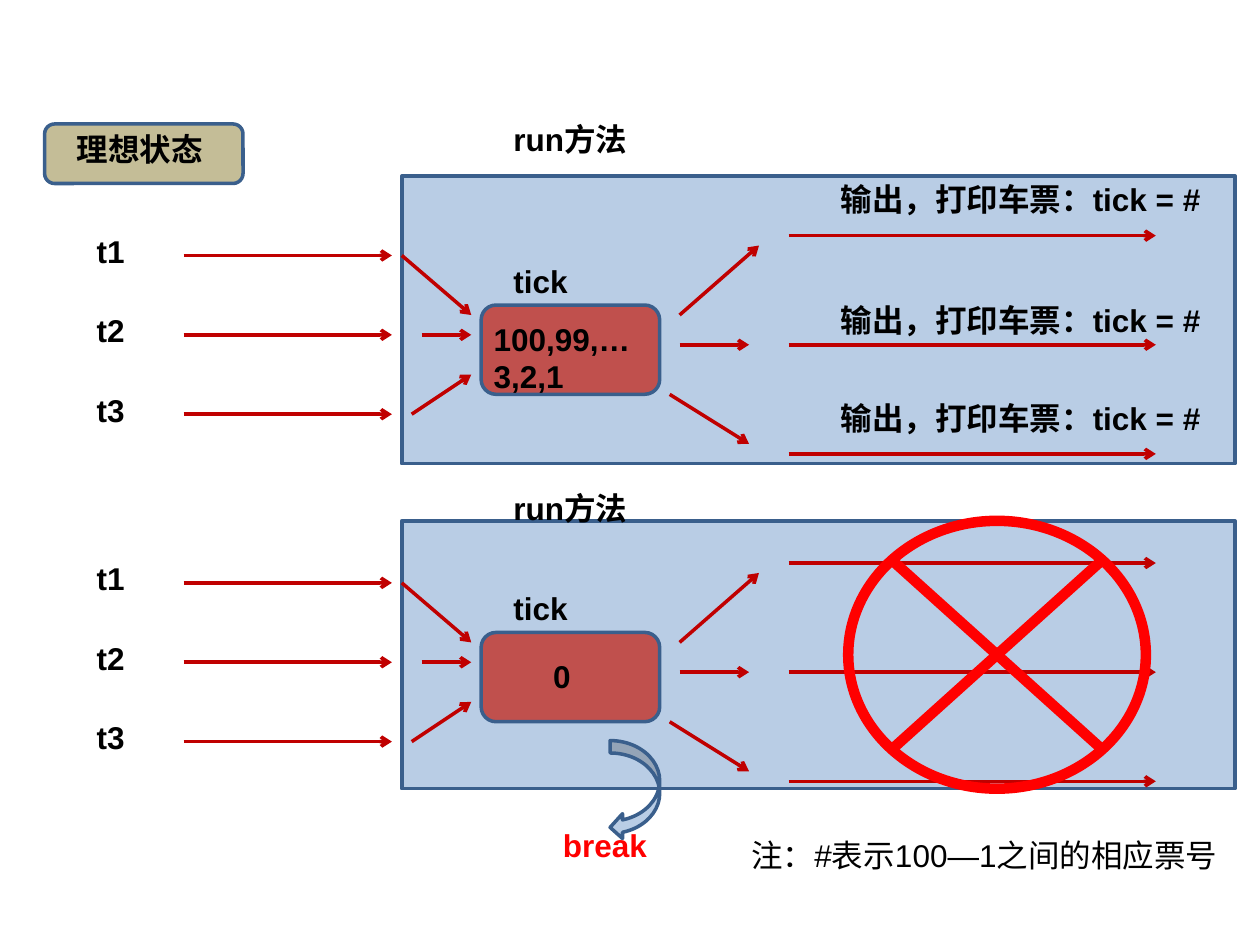
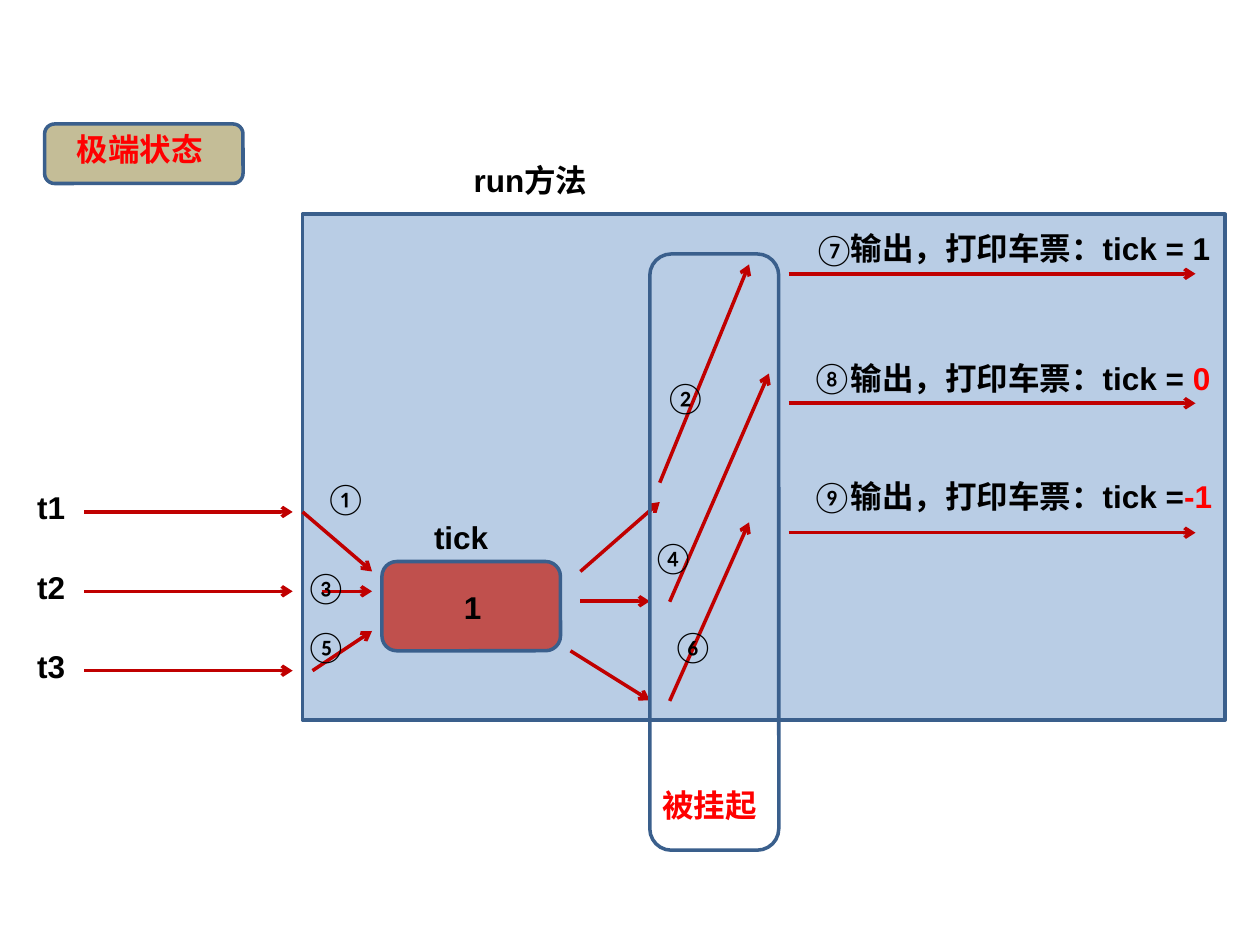
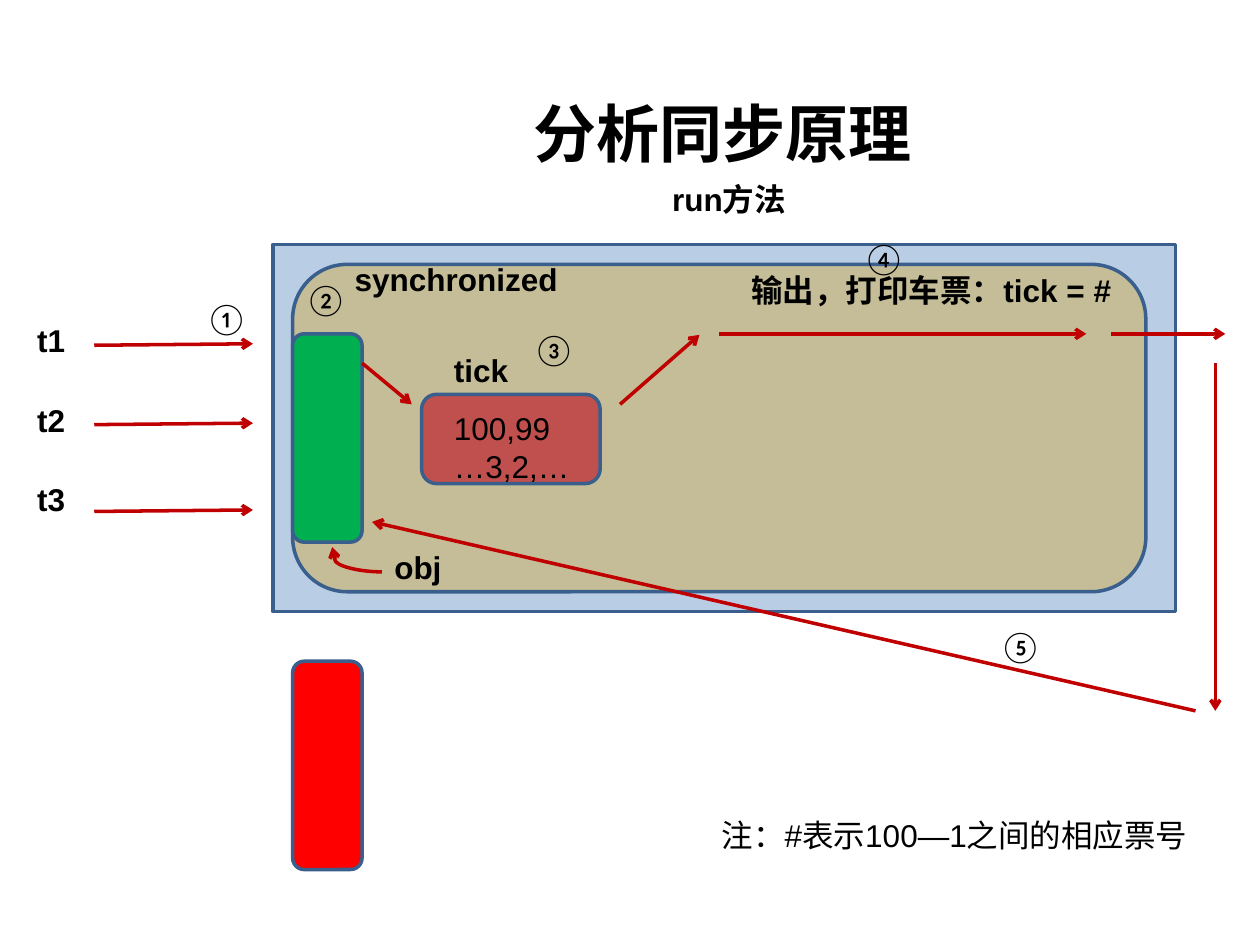
import dataclasses

import lxml.etree
import pptx
import pptx.dml.color
import pptx.enum.shapes
import pptx.enum.text
import pptx.oxml.ns
import pptx.util

Cm, Pt = pptx.util.Cm, pptx.util.Pt
MSO = pptx.enum.shapes.MSO_SHAPE
LINK = pptx.enum.shapes.MSO_CONNECTOR


@dataclasses.dataclass(frozen=True)
class Theme:
    panel: str = "B9CDE5"
    tan: str = "C4BD97"
    box: str = "C0504D"
    green: str = "00B050"
    red: str = "FF0000"
    border: str = "3A5F8C"
    arrow: str = "C00000"
    ink: str = "000000"
    font: str = "Arial"
    mark_font: str = "Calibri"
    body: int = 18
    title: int = 36
    line: int = 2
    cross: int = 6


T = Theme()

# All positions are in centimetres.
PRINT = "输出，打印车票：tick ="
NOTE = "注：#表示100—1之间的相应票号"
THREADS = ("t1", "t2", "t3")
THREAD_STEP = 1.6
BOX_W, BOX_H = 3.6, 1.8

# Arrows into and out of the tick box, measured from its top left corner
ARROWS_IN = [(-1.6, -1, -0.2, 0.2), (-1.2, 0.6, -0.2, 0.6), (-1.4, 2.2, -0.2, 1.4)]
ARROWS_OUT = [(4, 0.2, 5.6, -1.2), (4, 0.8, 5.4, 0.8), (3.8, 1.8, 5.4, 2.8)]

# Slide 1: panel top, panel height, label top, first thread line
IDEAL_RUNS = [(3.55, 5.8, 2.3, 5.15), (10.5, 5.4, 9.73, 11.75)]
IDEAL_PRINT_TOPS = [3.5, 5.95, 7.92]

# Slide 2: mark, mark left, mark top, text top, value, value colour, text width
EXTREME_PRINTS = [
    ("⑦", 16.15, 4.52, 4.5, " 1", T.ink, 8),
    ("⑧", 16.1, 7.09, 7.11, " 0", T.red, 8),
    ("⑨", 16.1, 9.5, 9.5, "-1", T.red, 8.5),
]
EXTREME_MARKS = [("①", 6.3, 9.53), ("②", 13.15, 7.49), ("③", 5.9, 11.33),
                 ("④", 12.9, 10.72), ("⑤", 5.9, 12.52), ("⑥", 13.3, 12.52)]
SUSPENDED = [(13.3, 9.73, 15.1, 5.33), (13.5, 12.13, 15.5, 7.53),
             (13.5, 14.13, 15.1, 10.53)]

# Slide 3
SYNC_MARKS = [("①", 3.9, 5.9), ("②", 5.9, 5.52), ("③", 10.5, 6.53),
              ("④", 17.15, 4.7), ("⑤", 19.9, 12.52)]
SYNC_THREAD_LINES = [6.96, 8.56, 10.31]
SYNC_ARROWS = [(7.3, 7.32, 8.3, 8.15), (14.5, 6.73, 21.9, 6.73),
               (22.4, 6.73, 24.7, 6.73), (24.5, 7.32, 24.5, 14.33),
               (24.1, 14.33, 7.5, 10.52)]


def rgb(color):
    return pptx.dml.color.RGBColor.from_string(color)


def new_slide(prs):
    return prs.slides.add_slide(prs.slide_layouts[6])


def shape(s, kind, x, y, w, h, fill=None, line=T.border, width=T.line):
    sp = s.shapes.add_shape(kind, Cm(x), Cm(y), Cm(w), Cm(h))
    sp.shadow.inherit = False
    if fill:
        sp.fill.solid()
        sp.fill.fore_color.rgb = rgb(fill)
    else:
        sp.fill.background()
    sp.line.color.rgb = rgb(line)
    sp.line.width = Pt(width)


def text(s, runs, x, y, w, h=1.03, color=T.ink, size=T.body, bold=True,
         font=T.font, wrap=True):
    """Add a text box; runs is a string or a list of (text, colour)."""
    tf = s.shapes.add_textbox(Cm(x), Cm(y), Cm(w), Cm(h)).text_frame
    tf.word_wrap = wrap
    tf.auto_size = pptx.enum.text.MSO_AUTO_SIZE.SHAPE_TO_FIT_TEXT
    p = tf.paragraphs[0]
    for words, run_color in [(runs, color)] if isinstance(runs, str) else runs:
        r = p.add_run()
        r.text = words
        r.font.name = font
        r.font.size = Pt(size)
        r.font.bold = bold
        r.font.color.rgb = rgb(run_color)


def mark(s, sign, x, y):
    text(s, sign, x, y, 1.15, bold=False, font=T.mark_font, wrap=False)


def arrow(s, x1, y1, x2, y2, kind=LINK.STRAIGHT):
    c = s.shapes.add_connector(kind, Cm(x1), Cm(y1), Cm(x2), Cm(y2))
    c.line.color.rgb = rgb(T.arrow)
    c.line.width = Pt(T.line)
    qn = pptx.oxml.ns.qn
    sp_pr = c.element.spPr
    lxml.etree.SubElement(sp_pr.find(qn("a:ln")), qn("a:tailEnd"), type="arrow")
    lxml.etree.SubElement(sp_pr, qn("a:effectLst"))
    return c


def bend(c, share):
    """Set where a curved connector turns, as a share of its width."""
    qn = pptx.oxml.ns.qn
    guides = c.element.spPr.find(qn("a:prstGeom")).find(qn("a:avLst"))
    lxml.etree.SubElement(guides, qn("a:gd"), name="adj1",
                          fmla=f"val {round(share * 100000)}")


def state_tag(s, words, color, w):
    shape(s, MSO.ROUNDED_RECTANGLE, 0.9, 2.5, 4, 1.2, T.tan)
    text(s, words, 1.3, 2.5, w, color=color)


def run_label(s, x, y):
    text(s, "run方法", x, y, 3.4)


def thread_labels(s, x, y):
    for i, name in enumerate(THREADS):
        text(s, name, x, y + i * THREAD_STEP, 2.6)


def threads(s, label_x, x1, x2, y):
    thread_labels(s, label_x, y - 0.6)
    for i in range(len(THREADS)):
        line_y = y + i * THREAD_STEP
        arrow(s, x1, line_y, x2, line_y)


def tick_box(s, x, y, label_dx=0.4, arrows=ARROWS_IN + ARROWS_OUT):
    shape(s, MSO.ROUNDED_RECTANGLE, x, y, BOX_W, BOX_H, T.box)
    text(s, "tick", x + label_dx, y - 1, 3.6)
    for x1, y1, x2, y2 in arrows:
        arrow(s, x + x1, y + y1, x + x2, y + y2)


def ideal_slide(prs):
    s = new_slide(prs)
    state_tag(s, "理想状态", T.ink, 5.6)
    for top, height, label_y, thread_y in IDEAL_RUNS:
        shape(s, MSO.RECTANGLE, 8.1, top, 16.8, height, T.panel)
        run_label(s, 10.1, label_y)
        threads(s, 1.7, 3.7, 7.9, thread_y)
        tick_box(s, 9.7, thread_y + 1)
        for i in range(3):
            line_y = thread_y - 0.4 + i * 2.2
            arrow(s, 15.9, line_y, 23.3, line_y)

    # Values and printed tickets
    text(s, "100,99,…3,2,1", 9.7, 6.32, 3.6, 1.8)
    text(s, "0", 10.9, 13.13, 2)
    for y in IDEAL_PRINT_TOPS:
        text(s, PRINT + " #", 16.7, y, 8)

    # Printing stops at zero
    shape(s, MSO.FLOWCHART_SUMMING_JUNCTION, 17.1, 10.5, 6, 5.4,
          line=T.red, width=T.cross)
    shape(s, MSO.CURVED_LEFT_ARROW, 12.3, 14.93, 1, 2, T.panel)
    text(s, "break", 11.1, 16.53, 3, color=T.red)
    text(s, NOTE, 14.9, 16.73, 10.5, bold=False)


def extreme_slide(prs):
    s = new_slide(prs)
    state_tag(s, "极端状态", T.red, 3.4)
    shape(s, MSO.RECTANGLE, 6.1, 4.32, 18.6, 10.2, T.panel)
    run_label(s, 9.3, 3.13)
    threads(s, 0.5, 1.7, 5.9, 10.32)
    tick_box(s, 7.7, 11.32, label_dx=0.8)
    text(s, "1", 9.1, 11.73, 1.6)

    # Suspended threads
    for ends in SUSPENDED:
        arrow(s, *ends)
    for sign in EXTREME_MARKS:
        mark(s, *sign)
    shape(s, MSO.ROUNDED_RECTANGLE, 13.1, 5.12, 2.6, 12.02)
    text(s, "被挂起", 13.1, 15.72, 2.6, color=T.red)

    # Printed tickets
    for i, (sign, x, mark_y, y, value, color, w) in enumerate(EXTREME_PRINTS):
        line_y = 5.52 + i * 2.61
        arrow(s, 15.9, line_y, 24.1, line_y)
        mark(s, sign, x, mark_y)
        text(s, [(PRINT, T.ink), (value, color)], 16.9, y, w)


def sync_slide(prs):
    s = new_slide(prs)
    text(s, "分析同步原理", 10.5, 1.78, 10.5, 1.8, size=T.title)
    run_label(s, 13.3, 3.5)
    shape(s, MSO.RECTANGLE, 5.5, 4.93, 18.2, 7.4, T.panel)
    shape(s, MSO.ROUNDED_RECTANGLE, 5.9, 5.33, 17.2, 6.6, T.tan)
    for y, fill in ((6.73, T.green), (13.33, T.red)):
        shape(s, MSO.ROUNDED_RECTANGLE, 5.9, y, 1.4, 4.2, fill)

    # Threads waiting at the lock
    thread_labels(s, 0.5, 6.35)
    for y in SYNC_THREAD_LINES:
        arrow(s, 1.9, y, 5.1, y - 0.03)

    # Work inside the synchronized block
    tick_box(s, 8.5, 7.95, arrows=ARROWS_OUT[:1])
    text(s, "100,99…3,2,…", 8.9, 8.13, 3, 1.8, bold=False)
    text(s, "synchronized", 6.9, 5.12, 4.8)
    text(s, PRINT + " #", 14.9, 5.33, 8)
    text(s, "obj", 7.7, 10.92, 1.8)
    for ends in SYNC_ARROWS:
        arrow(s, *ends)
    bend(arrow(s, 7.7, 11.53, 6.7, 11.03, LINK.CURVE), 0.95)
    for sign in SYNC_MARKS:
        mark(s, *sign)
    text(s, NOTE, 14.3, 16.33, 10.2, bold=False)


def main():
    prs = pptx.Presentation()
    prs.slide_width, prs.slide_height = Cm(25.4), Cm(19.05)
    for build in (ideal_slide, extreme_slide, sync_slide):
        build(prs)
    prs.save("out.pptx")


if __name__ == "__main__":
    main()
